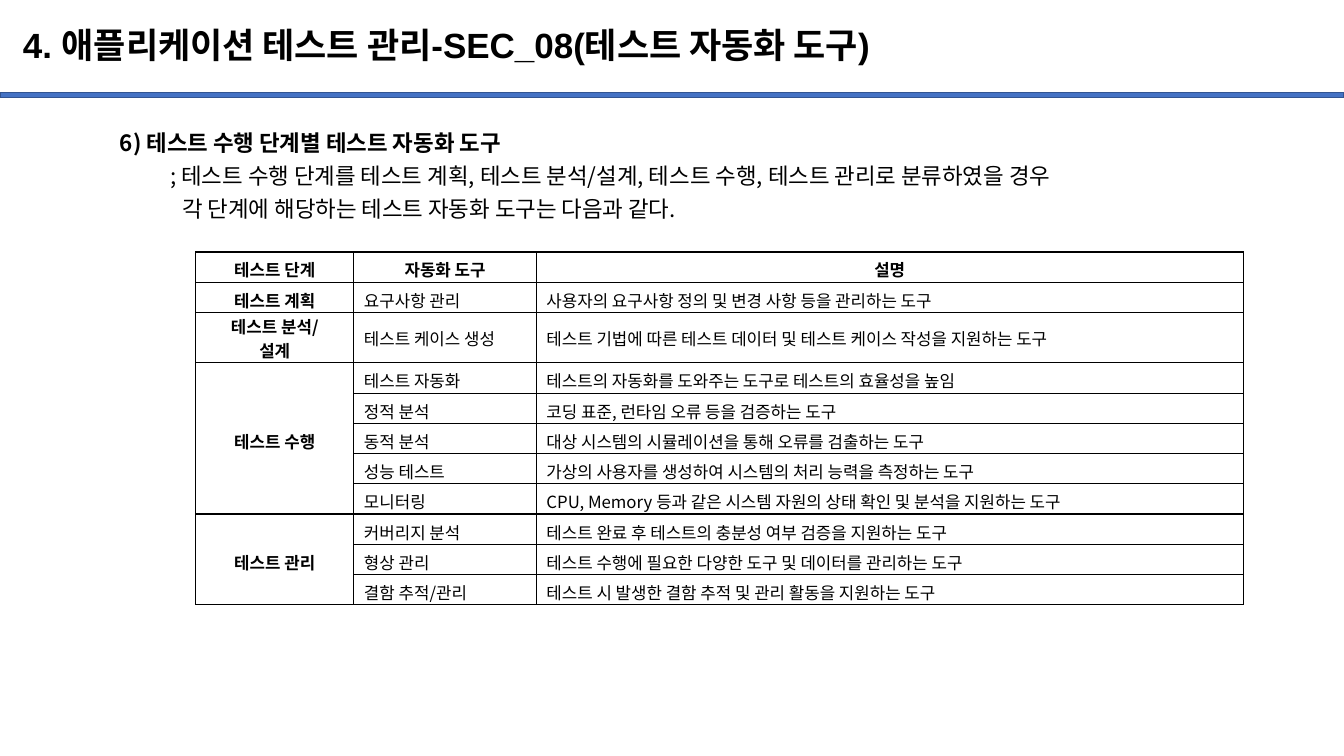
import pptx
import pptx.util
import pptx.dml.color
import pptx.enum.shapes
import pptx.enum.text
import pptx.oxml.ns
from dataclasses import dataclass
from lxml import etree

Inches = pptx.util.Inches
Pt = pptx.util.Pt
RGB = pptx.dml.color.RGBColor.from_string
ALIGN = pptx.enum.text.PP_ALIGN
MIDDLE = pptx.enum.text.MSO_ANCHOR.MIDDLE
qn = pptx.oxml.ns.qn


@dataclass(frozen=True)
class Theme:
    ink: str = "000000"
    bar: str = "4472C4"
    bar_line: str = "325491"
    latin: str = "Arial"
    korean: str = "Noto Sans CJK KR"
    title: int = 25
    body: int = 16
    cell: int = 12


THEME = Theme()

TITLE = "4. 애플리케이션 테스트 관리-SEC_08(테스트 자동화 도구)"
INTRO = [
    ("6) 테스트 수행 단계별 테스트 자동화 도구", 0, True),
    ("; 테스트 수행 단계를 테스트 계획, 테스트 분석/설계, 테스트 수행, 테스트 관리로 분류하였을 경우", 0.5, False),
    ("각 단계에 해당하는 테스트 자동화 도구는 다음과 같다.", 0.62, False),
]
HEADER = ["테스트 단계", "자동화 도구", "설명"]
STAGES = [
    ("테스트 계획", [
        ("요구사항 관리", "사용자의 요구사항 정의 및 변경 사항 등을 관리하는 도구"),
    ]),
    ("테스트 분석/\n설계", [
        ("테스트 케이스 생성", "테스트 기법에 따른 테스트 데이터 및 테스트 케이스 작성을 지원하는 도구"),
    ]),
    ("테스트 수행", [
        ("테스트 자동화", "테스트의 자동화를 도와주는 도구로 테스트의 효율성을 높임"),
        ("정적 분석", "코딩 표준, 런타임 오류 등을 검증하는 도구"),
        ("동적 분석", "대상 시스템의 시뮬레이션을 통해 오류를 검출하는 도구"),
        ("성능 테스트", "가상의 사용자를 생성하여 시스템의 처리 능력을 측정하는 도구"),
        ("모니터링", "CPU, Memory 등과 같은 시스템 자원의 상태 확인 및 분석을 지원하는 도구"),
    ]),
    ("테스트 관리", [
        ("커버리지 분석", "테스트 완료 후 테스트의 충분성 여부 검증을 지원하는 도구"),
        ("형상 관리", "테스트 수행에 필요한 다양한 도구 및 데이터를 관리하는 도구"),
        ("결함 추적/관리", "테스트 시 발생한 결함 추적 및 관리 활동을 지원하는 도구"),
    ]),
]
COLUMNS = [1.57, 1.81, 7.01]
ROW, TALL_ROW = 0.3, 0.5


def write(p, text, size, bold=False, font=THEME.korean, align=ALIGN.LEFT, spacing=None, indent=0):
    p.alignment = align
    p.line_spacing = spacing
    if indent:
        p._p.get_or_add_pPr().set("marL", str(Inches(indent)))
    r = p.add_run()
    r.text = text
    r.font.name = font
    r.font.size = Pt(size)
    r.font.bold = bold
    r.font.color.rgb = RGB(THEME.ink)
    ea = etree.SubElement(r._r.get_or_add_rPr(), qn("a:ea"))
    ea.set("typeface", THEME.korean)


def add_text_frame(s, left, top, width, height):
    tf = s.shapes.add_textbox(Inches(left), Inches(top), Inches(width), Inches(height)).text_frame
    tf.word_wrap = True
    return tf


def add_heading(s, left, top, width, height):
    bar = s.shapes.add_shape(pptx.enum.shapes.MSO_SHAPE.RECTANGLE,
                             Inches(left), Inches(top + height - 0.05), Inches(width), Inches(0.05))
    bar.shadow.inherit = False
    bar.fill.solid()
    bar.fill.fore_color.rgb = RGB(THEME.bar)
    bar.line.color.rgb = RGB(THEME.bar_line)
    bar.line.width = Pt(1)
    tf = add_text_frame(s, left + 0.13, top + 0.1, width - 0.33, 0.74)
    tf.vertical_anchor = MIDDLE
    write(tf.paragraphs[0], TITLE, THEME.title, bold=True, font=THEME.latin, spacing=0.9)


def add_intro(s, left, top, width, height):
    tf = add_text_frame(s, left, top, width, height)
    for i, (text, indent, bold) in enumerate(INTRO):
        p = tf.add_paragraph() if i else tf.paragraphs[0]
        write(p, text, THEME.body, bold=bold, spacing=1.23, indent=indent)


def add_borders(cell):
    tcPr = cell._tc.get_or_add_tcPr()
    for i, side in enumerate(("lnL", "lnR", "lnT", "lnB")):
        ln = etree.Element(qn("a:" + side), w=str(Pt(1)))
        fill = etree.SubElement(ln, qn("a:solidFill"))
        etree.SubElement(fill, qn("a:srgbClr"), val=THEME.ink)
        tcPr.insert(i, ln)


def fill_cell(cell, text, bold, align):
    cell.vertical_anchor = MIDDLE
    lines = text.split("\n")
    for i, line in enumerate(lines):
        p = cell.text_frame.add_paragraph() if i else cell.text_frame.paragraphs[0]
        write(p, line, THEME.cell, bold=bold, align=align)


def add_tool_table(s, left, top, width, height):
    rows = [HEADER] + [[stage if not i else "", *tool]
                       for stage, tools in STAGES for i, tool in enumerate(tools)]
    table = s.shapes.add_table(len(rows), len(COLUMNS), Inches(left), Inches(top),
                               Inches(width), Inches(height)).table
    table.first_row = table.horz_banding = False
    for column, share in zip(table.columns, COLUMNS):
        column.width = Inches(width * share / sum(COLUMNS))
    for y, texts in enumerate(rows):
        tall = "\n" in texts[0]
        table.rows[y].height = Inches(TALL_ROW if tall else ROW)
        for x, text in enumerate(texts):
            cell = table.cell(y, x)
            cell.margin_top = Inches(0.01 if tall else 0.05)
            cell.margin_bottom = 0
            cell.fill.background()
            add_borders(cell)
            strong = y == 0 or x == 0
            if text:
                fill_cell(cell, text, strong, ALIGN.CENTER if strong else ALIGN.LEFT)
    y = 1
    for _, tools in STAGES:
        if len(tools) > 1:
            table.cell(y, 0).merge(table.cell(y + len(tools) - 1, 0))
        y += len(tools)


def main():
    prs = pptx.Presentation()
    prs.slide_width = Inches(13.33)
    prs.slide_height = Inches(7.5)
    s = prs.slides.add_slide(prs.slide_layouts[6])
    add_heading(s, 0, 0, 13.33, 0.97)
    add_intro(s, 1.09, 1.17, 11.72, 1.3)
    add_tool_table(s, 1.94, 2.5, 10.39, 3.5)
    prs.save("out.pptx")


if __name__ == "__main__":
    main()
